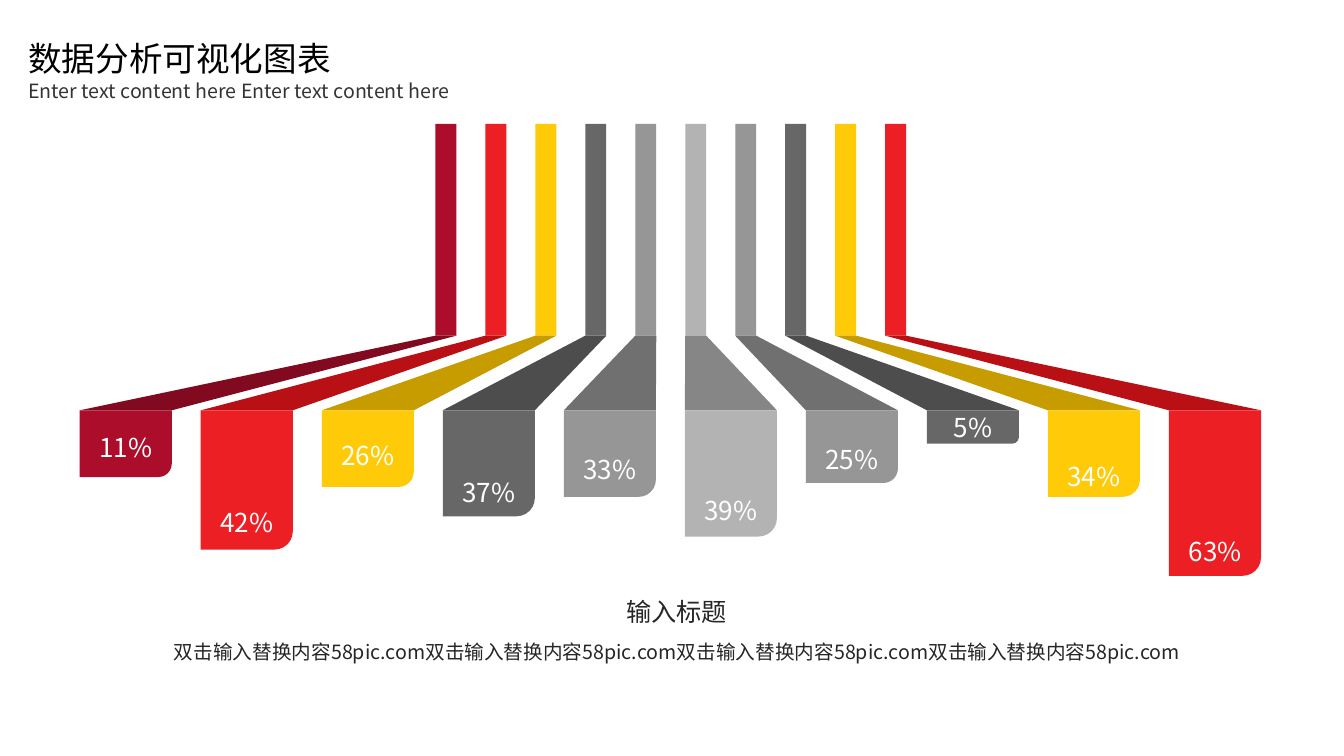
"""Build a slide of ten folded ribbons hanging down to percentage bars."""
from typing import Any, NamedTuple

from lxml.etree import SubElement
from pptx import Presentation
from pptx.dml.color import RGBColor
from pptx.enum.shapes import MSO_SHAPE as Preset
from pptx.enum.text import MSO_ANCHOR as Anchor, MSO_AUTO_SIZE as AutoSize, PP_ALIGN as Align
from pptx.oxml.ns import qn
from pptx.util import Cm, Pt


class Tone(NamedTuple):
    face: RGBColor
    fold: RGBColor


class Ribbon(NamedTuple):
    share: str
    tone: Tone
    bar_height: float
    label_rise: float


class Caption(NamedTuple):
    text: str
    left: float
    middle: float
    width: float
    size: float
    color: RGBColor
    align: Align = Align.CENTER


WHITE = RGBColor(0xFF, 0xFF, 0xFF)
BLACK = RGBColor(0x00, 0x00, 0x00)
CHARCOAL = RGBColor(0x33, 0x33, 0x33)
INK = RGBColor(0x26, 0x26, 0x26)
CRIMSON = Tone(RGBColor(0xAC, 0x0D, 0x2B), RGBColor(0x81, 0x0A, 0x20))
RED = Tone(RGBColor(0xEC, 0x1F, 0x25), RGBColor(0xB9, 0x10, 0x15))
YELLOW = Tone(RGBColor(0xFF, 0xCB, 0x09), RGBColor(0xC6, 0x9C, 0x00))
DARK_GRAY = Tone(RGBColor(0x67, 0x67, 0x67), RGBColor(0x4D, 0x4D, 0x4D))
GRAY = Tone(RGBColor(0x96, 0x96, 0x96), RGBColor(0x70, 0x70, 0x70))
LIGHT_GRAY = Tone(RGBColor(0xB3, 0xB3, 0xB3), RGBColor(0x86, 0x86, 0x86))

FONT = "Noto Sans CJK JP"
STRIP_LEFT, STRIP_PITCH, STRIP_WIDTH = 10.97, 1.26, 0.53
BAR_LEFT, BAR_PITCH, BAR_WIDTH = 2.01, 3.05, 2.32
STRIP_TOP, FOLD_TOP, BAR_TOP = 3.12, 8.46, 10.34

RIBBONS = [
    Ribbon("11%", CRIMSON, 1.68, 0.75),
    Ribbon("42%", RED, 3.51, 0.7),
    Ribbon("26%", YELLOW, 1.93, 0.8),
    Ribbon("37%", DARK_GRAY, 2.67, 0.6),
    Ribbon("33%", GRAY, 2.18, 0.7),
    Ribbon("39%", LIGHT_GRAY, 3.18, 0.67),
    Ribbon("25%", GRAY, 1.83, 0.6),
    Ribbon("5%", DARK_GRAY, 0.84, 0.42),
    Ribbon("34%", YELLOW, 2.18, 0.52),
    Ribbon("63%", RED, 4.17, 0.62),
]

HEADING = Caption("数据分析可视化图表", 0.46, 1.47, 9.6, 24, BLACK, Align.LEFT)
CAPTIONS = [
    Caption("Enter text content here Enter text content here",
            0.46, 2.29, 15.85, 14, CHARCOAL, Align.LEFT),
    Caption("输入标题", 14.55, 15.41, 5, 18, INK),
    Caption("双击输入替换内容58pic.com" * 4, 2.24, 16.41, 29.64, 14, INK),
]


def paint(shape: Any, color: RGBColor) -> None:
    shape.shadow.inherit = False
    shape.fill.solid()
    shape.fill.fore_color.rgb = color
    shape.line.fill.background()


def write(shape: Any, caption: Caption) -> None:
    height = caption.size * 0.06
    place = {"left": Cm(caption.left), "top": Cm(caption.middle - height / 2),
             "width": Cm(caption.width), "height": Cm(height)}
    layout = {"word_wrap": True, "auto_size": AutoSize.NONE,
              "vertical_anchor": Anchor.MIDDLE, "margin_top": 0, "margin_bottom": 0}
    frame = shape.text_frame
    frame.text = caption.text
    line = frame.paragraphs[0]
    line.alignment = caption.align
    font = line.runs[0].font
    look = {"name": FONT, "size": Pt(caption.size), "bold": False}
    for target, values in ((shape, place), (frame, layout), (font, look)):
        for name, value in values.items():
            setattr(target, name, value)
    font.color.rgb = caption.color
    SubElement(line.runs[0].font._element, qn("a:ea"), typeface=FONT)


def add_caption(slide: Any, caption: Caption) -> None:
    write(slide.shapes.add_textbox(0, 0, 0, 0), caption)


def add_ribbon(slide: Any, index: int, ribbon: Ribbon) -> None:
    shapes = slide.shapes
    strip_left = STRIP_LEFT + index * STRIP_PITCH
    bar_left = BAR_LEFT + index * BAR_PITCH

    strip = shapes.add_shape(Preset.RECTANGLE, Cm(strip_left), Cm(STRIP_TOP),
                             Cm(STRIP_WIDTH), Cm(FOLD_TOP - STRIP_TOP))
    paint(strip, ribbon.tone.face)

    outline = shapes.build_freeform(Cm(strip_left), Cm(FOLD_TOP))
    outline.add_line_segments([
        (Cm(strip_left + STRIP_WIDTH), Cm(FOLD_TOP)),
        (Cm(bar_left + BAR_WIDTH), Cm(BAR_TOP)),
        (Cm(bar_left), Cm(BAR_TOP)),
    ], close=True)
    paint(outline.convert_to_shape(), ribbon.tone.fold)

    bar = shapes.add_shape(Preset.ROUND_1_RECTANGLE, Cm(bar_left), Cm(BAR_TOP),
                           Cm(BAR_WIDTH), Cm(ribbon.bar_height))
    bar.adjustments[0] = 0.2
    bar.rotation = 180
    bar._element.spPr.find(qn("a:xfrm")).set("flipH", "1")
    paint(bar, ribbon.tone.face)

    label_middle = BAR_TOP + ribbon.bar_height - ribbon.label_rise
    add_caption(slide, Caption(ribbon.share, bar_left, label_middle, BAR_WIDTH, 18.6, WHITE))


def main() -> None:
    deck = Presentation()
    deck.slide_width, deck.slide_height = Cm(33.87), Cm(19.05)
    slide = deck.slides.add_slide(deck.slide_layouts[5])
    write(slide.shapes.title, HEADING)
    for index, ribbon in enumerate(RIBBONS):
        add_ribbon(slide, index, ribbon)
    for caption in CAPTIONS:
        add_caption(slide, caption)
    deck.save("out.pptx")


if __name__ == "__main__":
    main()
